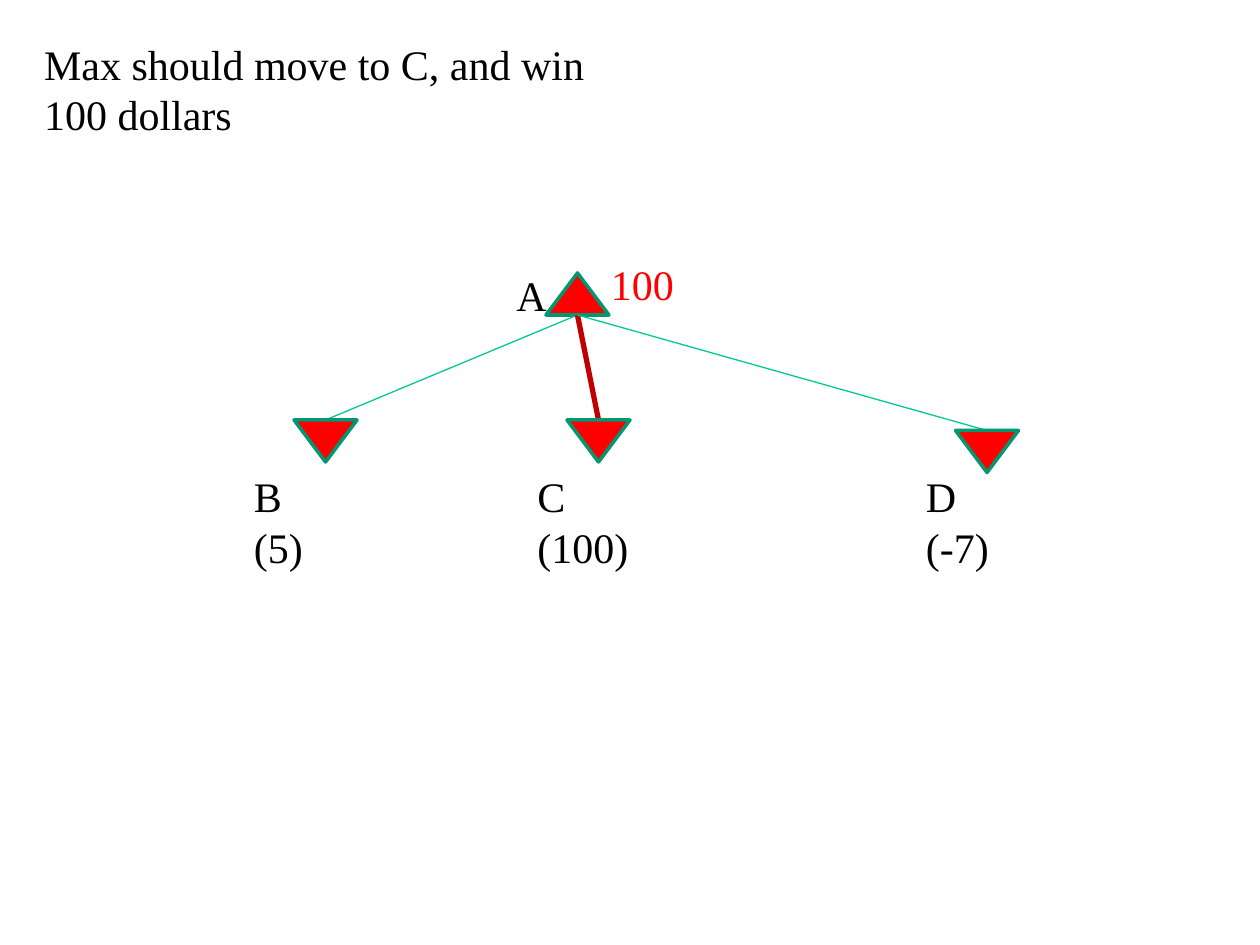
"""Build a game tree slide on which Max picks the best of three moves."""
from pptx import Presentation
from pptx.dml.color import RGBColor
from pptx.enum.shapes import MSO_CONNECTOR, MSO_SHAPE
from pptx.enum.text import MSO_ANCHOR, MSO_AUTO_SIZE, PP_ALIGN
from pptx.oxml.ns import qn
from pptx.util import Inches, Pt

STRAIGHT = MSO_CONNECTOR.STRAIGHT
TRIANGLE = MSO_SHAPE.ISOSCELES_TRIANGLE
TOP = MSO_ANCHOR.TOP
LEFT = PP_ALIGN.LEFT
NO_FIT = MSO_AUTO_SIZE.NONE

BLACK = RGBColor(0x00, 0x00, 0x00)
RED = RGBColor(0xFF, 0x00, 0x00)
DARK_RED = RGBColor(0xC0, 0x00, 0x00)
GREEN = RGBColor(0x00, 0x97, 0x71)
LIGHT_GREEN = RGBColor(0x00, 0xC8, 0x96)

TITLE = "Max should move to C, and win 100 dollars"
ROOT = (55, 26)
# Grid column and row of each node's top centre, label, label column and width, best move
MOVES = [
    (31, 40, "B (5)", 23, 0.68, False),
    (57, 40, "C (100)", 50, 0.93, True),
    (94, 41, "D (-7)", 87, 0.83, False),
]
ROOT_LABELS = [("A", 48, 25, 0.35, BLACK), ("100", 57, 24, 0.71, RED)]
LABEL_TOP = 44.2
NODE_W, NODE_H = 6, 4
TEXT_H = 0.4


def grid(n):
    return Inches(n / 12)


def add_node(shapes, col, row, rotation):
    sp = shapes.add_shape(TRIANGLE, grid(col - NODE_W / 2), grid(row),
                          grid(NODE_W), grid(NODE_H))
    sp.rotation = rotation
    sp.shadow.inherit = False
    sp.fill.solid()
    sp.fill.fore_color.rgb = RED
    sp.line.color.rgb = GREEN
    sp.line.width = Pt(2)


def add_edge(shapes, col, row, best):
    line = shapes.add_connector(STRAIGHT, grid(ROOT[0]), grid(ROOT[1] + NODE_H),
                                grid(col), grid(row))
    line.line.color.rgb = DARK_RED if best else LIGHT_GREEN
    line.line.width = Pt(3 if best else 0.75)
    sp_pr = line._element.spPr
    sp_pr.append(sp_pr.makeelement(qn("a:effectLst"), {}))


def write(sp, text, color=BLACK):
    tf = sp.text_frame
    tf.text = text
    tf.word_wrap = True
    tf.auto_size = NO_FIT
    tf.vertical_anchor = TOP
    p = tf.paragraphs[0]
    p.alignment = LEFT
    p.line_spacing = Pt(29)
    p.font.name = "Times New Roman"
    p.font.size = Pt(24)
    p.font.color.rgb = color


def add_label(shapes, text, col, row, width, color=BLACK):
    box = shapes.add_textbox(grid(col), grid(row), Inches(width), Inches(TEXT_H))
    write(box, text, color)


def main():
    prs = Presentation()
    prs.slide_width, prs.slide_height = Inches(10), Inches(7.5)
    shapes = prs.slides.add_slide(prs.slide_layouts[5]).shapes

    title = shapes.title
    title.left, title.top = grid(3), grid(3)
    title.width, title.height = Inches(4.61), Inches(TEXT_H)
    write(title, TITLE)

    add_node(shapes, *ROOT, 0)
    for col, row, _, _, _, best in MOVES:
        add_edge(shapes, col, row, best)
    for col, row, text, label_col, width, _ in MOVES:
        add_node(shapes, col, row, 180)
        add_label(shapes, text, label_col, LABEL_TOP, width)
    for label in ROOT_LABELS:
        add_label(shapes, *label)

    prs.save("out.pptx")


if __name__ == "__main__":
    main()
